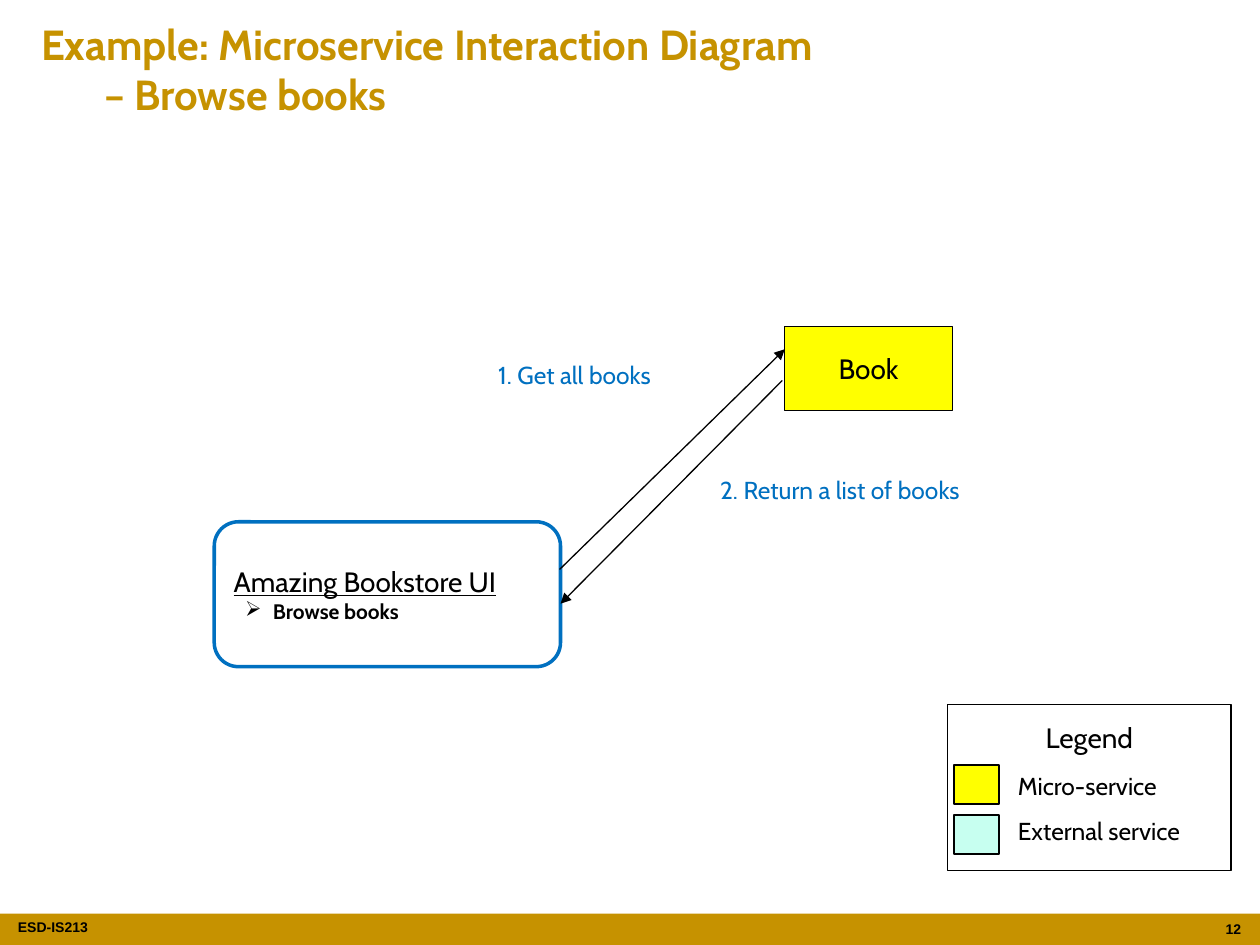
from lxml import etree
from pptx import Presentation
from pptx.dml.color import RGBColor
from pptx.enum.shapes import MSO_CONNECTOR, MSO_SHAPE
from pptx.enum.text import MSO_ANCHOR, PP_ALIGN
from pptx.oxml.ns import qn
from pptx.util import Cm, Pt

RECT = MSO_SHAPE.RECTANGLE
ROUND = MSO_SHAPE.FLOWCHART_ALTERNATE_PROCESS
LINE = MSO_CONNECTOR.STRAIGHT
TOP, MID = MSO_ANCHOR.TOP, MSO_ANCHOR.MIDDLE
LEFT, MIDDLE, RIGHT = PP_ALIGN.LEFT, PP_ALIGN.CENTER, PP_ALIGN.RIGHT
GOLD = RGBColor(0xC6, 0x92, 0x00)
BLUE = RGBColor(0x00, 0x70, 0xC0)
YELLOW = RGBColor(0xFF, 0xFF, 0x00)
MINT = RGBColor(0xC7, 0xFF, 0xF0)
BLACK = RGBColor(0x00, 0x00, 0x00)
WHITE = RGBColor(0xFF, 0xFF, 0xFF)


def style(para, size, color=BLACK, bold=False, align=LEFT, font="Cabin"):
    para.alignment = align
    for run in para.runs:
        run.font.name = font
        run.font.size = Pt(size)
        run.font.bold = bold
        run.font.color.rgb = color


def add_box(shapes, area, fill=None, line=None, width=0.75, kind=RECT):
    box = shapes.add_shape(kind, *map(Cm, area))
    box.shadow.inherit = False
    if fill is None:
        box.fill.background()
    else:
        box.fill.solid()
        box.fill.fore_color.rgb = fill
    if line is None:
        box.line.fill.background()
    else:
        box.line.color.rgb = line
        box.line.width = Pt(width)
    return box


def write(shape, text, size, anchor=MID, **look):
    frame = shape.text_frame
    frame.word_wrap = True
    frame.vertical_anchor = anchor
    frame.text = text
    for para in frame.paragraphs:
        style(para, size, **look)
    return frame


def add_text(shapes, area, text, size, anchor=TOP, **look):
    return write(shapes.add_textbox(*map(Cm, area)), text, size, anchor, **look)


def add_arrow(shapes, start, end):
    arrow = shapes.add_connector(LINE, *map(Cm, start + end))
    arrow.line.color.rgb = BLACK
    arrow.line.width = Pt(0.75)
    etree.SubElement(arrow.line._get_or_add_ln(), qn("a:tailEnd"), type="triangle")
    etree.SubElement(arrow._element.spPr, qn("a:effectLst"))


def add_bullet(para, mark):
    props = para._p.get_or_add_pPr()
    props.set("marL", str(Cm(0.79)))
    props.set("indent", str(Cm(-0.56)))
    etree.SubElement(props, qn("a:buChar"), char=mark)


def add_client(shapes):
    box = add_box(shapes, (4.32, 10.52, 6.98, 2.92), line=BLUE, width=2, kind=ROUND)
    frame = write(box, "Amazing Bookstore UI\nBrowse books", 16)
    name, task = frame.paragraphs
    name.runs[0].font.underline = True
    style(task, 12, bold=True)
    add_bullet(task, "➢")


def add_legend(shapes):
    group = shapes.add_group_shape().shapes
    panel = add_box(group, (19.1, 14.2, 5.72, 3.35), WHITE, BLACK)
    frame = write(panel, "Legend", 16, TOP, align=MIDDLE)
    frame.margin_top = Cm(0.33)
    rows = (
        (15.42, 15.42, 3.43, YELLOW, "Micro-service"),
        (16.43, 16.33, 4.19, MINT, "External service"),
    )
    for top, base, width, color, name in rows:
        add_box(group, (19.23, top, 0.91, 0.79), color, BLACK)
        label = add_box(group, (20.27, base, width, 0.82), WHITE, WHITE)
        write(label, name, 14)


def add_footer(shapes):
    add_box(shapes, (0, 18.42, 25.4, 0.63), GOLD)
    look = {"bold": True, "font": "Arial"}
    course = add_text(shapes, (0.36, 18.39, 3.28, 0.64), "ESD-IS213", 8, **look)
    course.margin_left = course.margin_right = 0
    add_text(shapes, (24.28, 18.44, 0.99, 0.61), "12", 8, align=RIGHT, **look)


def main():
    deck = Presentation()
    deck.slide_width, deck.slide_height = Cm(25.4), Cm(19.05)
    shapes = deck.slides.add_slide(deck.slide_layouts[6]).shapes

    add_footer(shapes)
    title = "Example: Microservice Interaction Diagram \v\t– Browse books"
    add_text(shapes, (0.58, 0.23, 24.23, 2.31), title, 24, MID, color=GOLD, bold=True)
    add_client(shapes)
    book = add_box(shapes, (15.82, 6.58, 3.38, 1.7), YELLOW, BLACK)
    write(book, "Book", 16, align=MIDDLE)
    add_arrow(shapes, (11.28, 11.48), (15.82, 7.04))
    add_arrow(shapes, (15.77, 7.67), (11.3, 12.17))
    labels = (
        (8.59, 7.14, "1. Get all books"),
        (13.94, 9.45, "2. Return a list of books"),
    )
    for left, top, text in labels:
        add_text(shapes, (left, top, 5.99, 0.86), text, 14, color=BLUE, align=MIDDLE)
    add_legend(shapes)
    deck.save("out.pptx")


if __name__ == "__main__":
    main()
